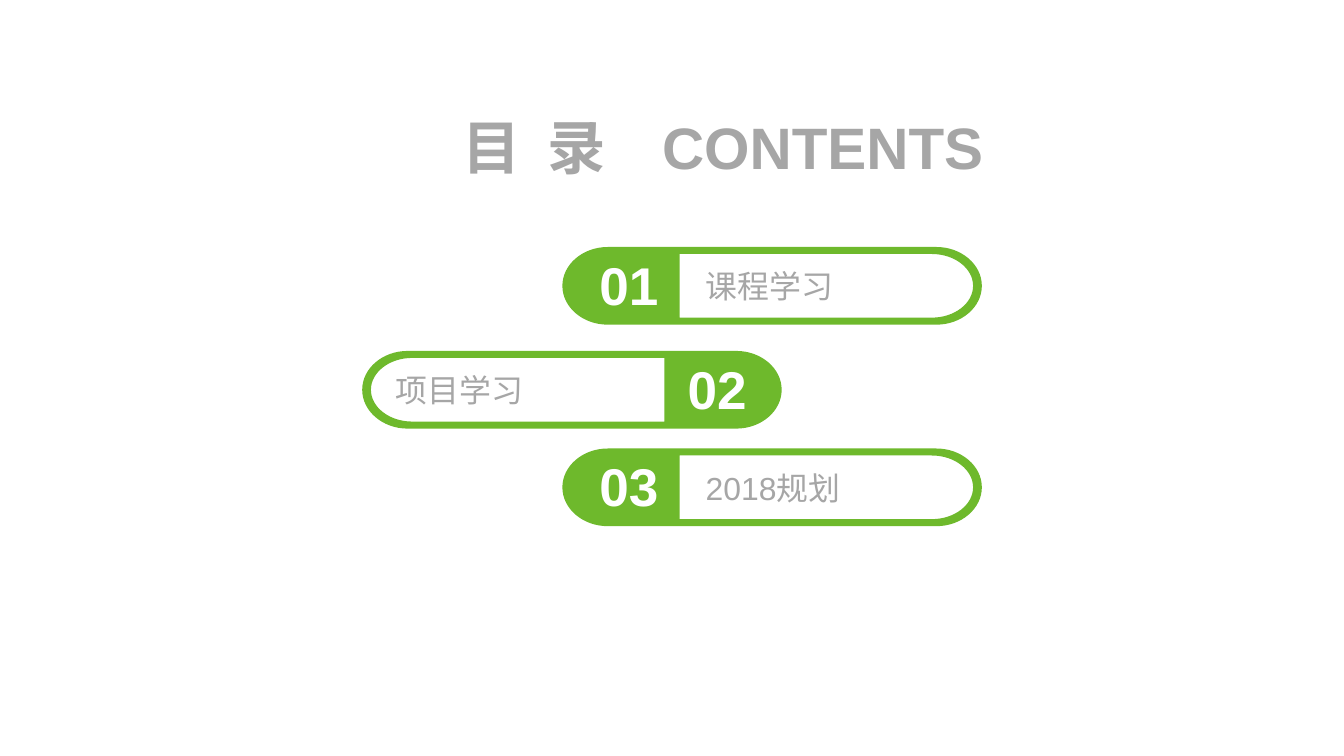
from dataclasses import dataclass
from lxml import etree
from pptx import Presentation
from pptx.dml.color import RGBColor
from pptx.enum.text import MSO_ANCHOR, PP_ALIGN
from pptx.oxml.ns import qn
from pptx.util import Pt

MIDDLE, TOP = MSO_ANCHOR.MIDDLE, MSO_ANCHOR.TOP
LEFT, CENTER = PP_ALIGN.LEFT, PP_ALIGN.CENTER

TITLE = "目 录"
SUBTITLE = "CONTENTS"
ENTRIES = [
    ("01", "课程学习", 423.7, 186.1, False),
    ("02", "项目学习", 272.9, 264.4, True),
    ("03", "2018规划", 423.7, 337.9, False),
]


@dataclass(frozen=True)
class Theme:
    font: str = "Arial"
    green: RGBColor = RGBColor(0x6E, 0xB9, 0x2C)
    grey: RGBColor = RGBColor(0xA6, 0xA6, 0xA6)
    white: RGBColor = RGBColor(0xFF, 0xFF, 0xFF)
    heading: int = 44
    number: int = 40
    label: int = 24


theme = Theme()
SLIDE_W, SLIDE_H = 1012.5, 569.5
HEAD_Y, HEAD_H = 83.5, 53.3
BAR_W, BAR_H = 316, 58.5
END_R = 34.2
WINDOW_X, WINDOW_R, RIM_X, RIM_Y = 88.4, 31, 6.6, 5.3
NUMBER_X, NUMBER_X_MIRRORED = 16.6, 233.9
NUMBER_Y, NUMBER_W, NUMBER_H = 3.9, 67, 48.2
LABEL_INSET, LABEL_INSET_MIRRORED = 108, 25.2
ROUND = 0.55


def round_end(edge, rx, top, bottom):
    cx, cy = edge - rx, (top + bottom) / 2
    kx, ky = cx + rx * ROUND, (bottom - top) / 2 * ROUND
    return [
        [(kx, top), (edge, cy - ky), (edge, cy)],
        [(edge, cy + ky), (kx, bottom), (cx, bottom)],
    ]


def bar_outlines(mirrored):
    outer = [[(END_R, 0)], [(BAR_W - END_R, 0)]]
    outer += round_end(BAR_W, END_R, 0, BAR_H)
    outer += [[(END_R, BAR_H)]] + round_end(0, -END_R, BAR_H, 0)
    right = BAR_W - RIM_X
    low = BAR_H - RIM_Y
    window = [[(WINDOW_X, RIM_Y)], [(WINDOW_X, low)], [(right - WINDOW_R, low)]]
    window += round_end(right, WINDOW_R, low, RIM_Y)
    return [[[(Pt(BAR_W - x if mirrored else x), Pt(y)) for x, y in step]
             for step in outline] for outline in (outer, window)]


def bend(sp, steps):
    lines = iter(list(sp._element.iter(qn("a:lnTo"))))
    for step in steps:
        first, *others = [next(lines) for _ in step]
        if others:
            curve = etree.Element(qn("a:cubicBezTo"))
            first.addprevious(curve)
            for line in (first, *others):
                curve.append(line[0])
                line.getparent().remove(line)


def add_bar(shapes, x, y, mirrored):
    outer, window = bar_outlines(mirrored)
    builder = shapes.build_freeform(*outer[0][0])
    builder.add_line_segments(sum(outer[1:], []))
    builder.move_to(*window[0][0])
    builder.add_line_segments(sum(window[1:], []))
    sp = builder.convert_to_shape(Pt(x), Pt(y))
    bend(sp, outer[1:] + window[1:])
    sp.shadow.inherit = False
    sp.fill.solid()
    sp.fill.fore_color.rgb = theme.green
    sp.line.fill.background()
    return sp


def write(sp, text, size, color, align=CENTER, anchor=MIDDLE, bold=True, inset=0):
    tf = sp.text_frame
    tf.word_wrap = True
    tf.vertical_anchor = anchor
    tf.margin_left = Pt(inset)
    tf.margin_top = tf.margin_right = tf.margin_bottom = 0
    p = tf.paragraphs[0]
    p.text = text
    p.alignment = align
    p.font.name, p.font.size, p.font.bold = theme.font, Pt(size), bold
    p.font.color.rgb = color
    return p


def add_text(shapes, box, *args, **options):
    return write(shapes.add_textbox(*map(Pt, box)), *args, **options)


prs = Presentation()
prs.slide_width, prs.slide_height = Pt(SLIDE_W), Pt(SLIDE_H)
s = prs.slides.add_slide(prs.slide_layouts[5])

title = s.shapes.title
title.left, title.top, title.width, title.height = map(Pt, (336.2, HEAD_Y, 132.5, HEAD_H))
p = write(title, TITLE, theme.heading, theme.grey)
p.runs[0]._r.get_or_add_rPr().set("spc", "520")
add_text(s.shapes, (495, HEAD_Y, 249.8, HEAD_H), SUBTITLE, theme.heading, theme.grey)

for number, label, x, y, mirrored in ENTRIES:
    bar = add_bar(s.shapes, x, y, mirrored)
    inset = LABEL_INSET_MIRRORED if mirrored else LABEL_INSET
    write(bar, label, theme.label, theme.grey, align=LEFT, bold=False, inset=inset)
    number_x = NUMBER_X_MIRRORED if mirrored else NUMBER_X
    add_text(s.shapes, (x + number_x, y + NUMBER_Y, NUMBER_W, NUMBER_H),
             number, theme.number, theme.white, anchor=TOP)

prs.save("out.pptx")
